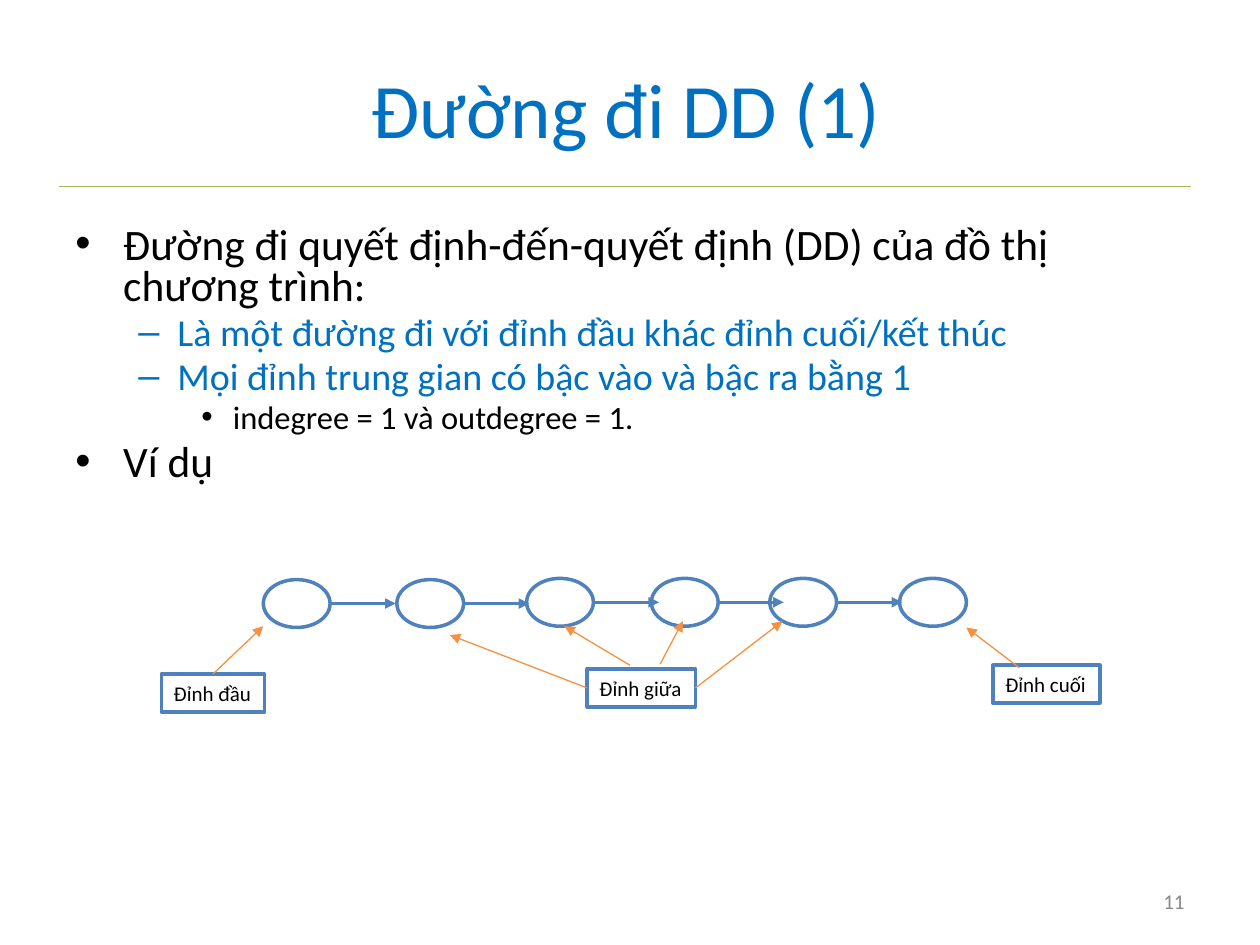
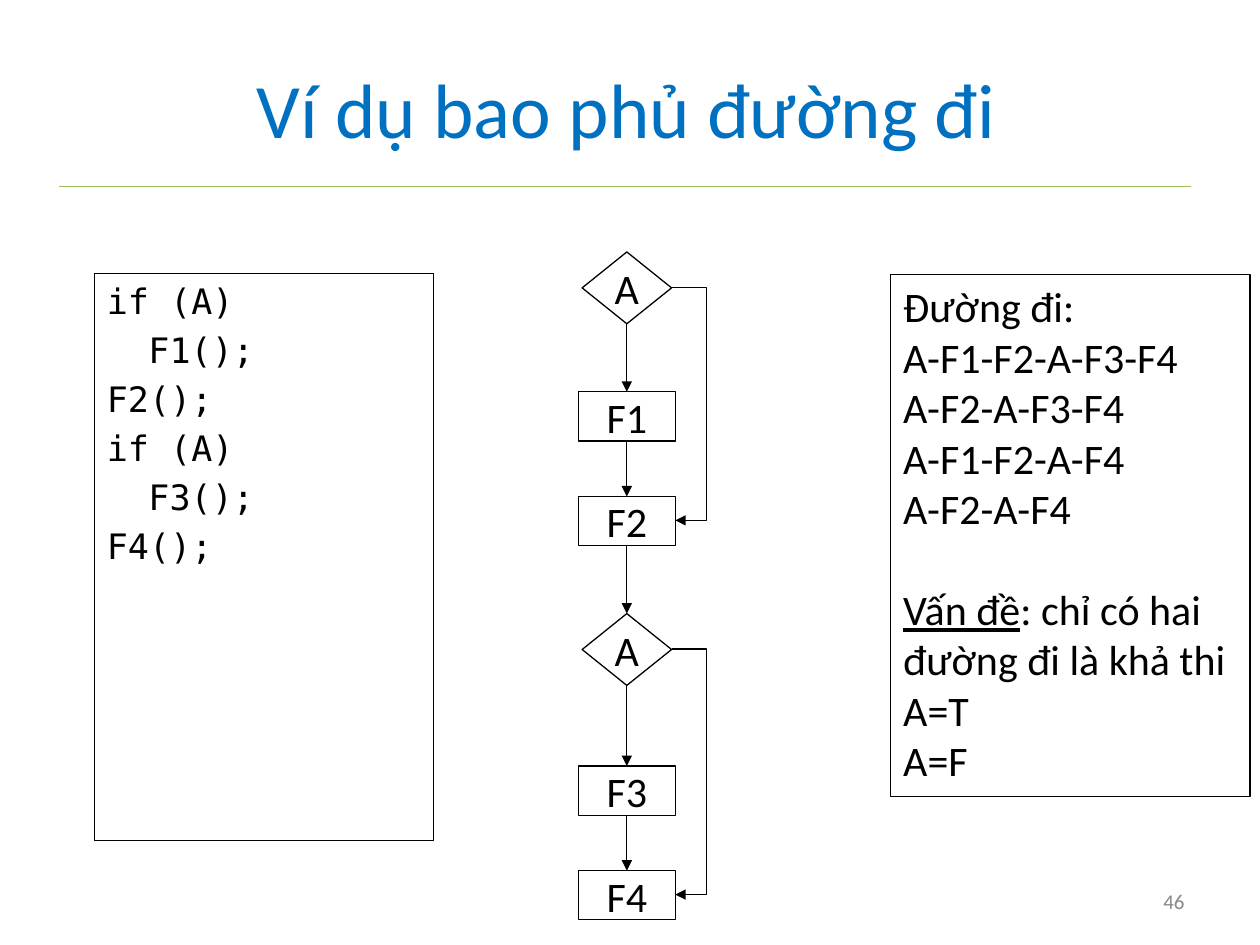
from lxml import etree
from pptx import Presentation
from pptx.dml.color import RGBColor
from pptx.enum.shapes import MSO_CONNECTOR as Connector, MSO_SHAPE as Shape
from pptx.enum.text import MSO_ANCHOR as Anchor, MSO_AUTO_SIZE as AutoSize, PP_ALIGN as Align
from pptx.oxml.ns import qn
from pptx.util import Emu, Pt

PX = 9144  # 100 px to the inch

BLACK = RGBColor(0x00, 0x00, 0x00)
WHITE = RGBColor(0xFF, 0xFF, 0xFF)
GREY = RGBColor(0x88, 0x88, 0x88)
TITLE_BLUE = RGBColor(0x00, 0x70, 0xC0)
NODE_BLUE = RGBColor(0x4F, 0x81, 0xBD)
RULE_GREEN = RGBColor(0x9B, 0xBB, 0x59)
POINTER_ORANGE = RGBColor(0xF5, 0x91, 0x3F)

TEXT_FONT = "Calibri"
CODE_FONT = "DejaVu Sans Mono"

# Outline levels: bullet, left edge, hanging width, size, space before, colour
LEVELS = [
    ("•", 38, 38, 24.8, 5, BLACK),
    ("–", 81, 31, 21.7, 4.3, TITLE_BLUE),
    ("•", 125, 25, 18.6, 3.7, BLACK),
]


def px(*lengths):
    return [Emu(length * PX) for length in lengths]


def style(paragraph, size, color=BLACK, align=Align.LEFT, font=TEXT_FONT):
    paragraph.alignment = align
    paragraph.font.name = font
    paragraph.font.size = Pt(size)
    paragraph.font.color.rgb = color


def set_indent(paragraph, left, first=0):
    properties = paragraph._p.get_or_add_pPr()
    properties.set("marL", str(left * PX))
    properties.set("indent", str(first * PX))
    return properties


def add_paragraphs(frame, lines):
    """Write one paragraph per line and return the paragraphs."""
    frame.text = "\n".join(lines)
    return frame.paragraphs


def add_text_box(slide, left, top, width, height):
    frame = slide.shapes.add_textbox(*px(left, top, width, height)).text_frame
    frame.word_wrap = True
    return frame


def add_outlined(slide, kind, box, line=BLACK, weight=0.75, fill=None):
    shape = slide.shapes.add_shape(kind, *px(*box))
    shape.shadow.inherit = False
    if fill is None:
        shape.fill.background()
    else:
        shape.fill.solid()
        shape.fill.fore_color.rgb = fill
    shape.line.color.rgb = line
    shape.line.width = Pt(weight)
    return shape


def add_line(slide, start, end, color=BLACK, weight=0.75, arrow=True, kind=Connector.STRAIGHT):
    connector = slide.shapes.add_connector(kind, *px(*start, *end))
    connector.line.color.rgb = color
    connector.line.width = Pt(weight)
    if arrow:
        etree.SubElement(connector.line._get_or_add_ln(), qn("a:tailEnd"), type="triangle")
    etree.SubElement(connector._element.spPr, qn("a:effectLst"))
    return connector


def add_elbow(slide, start, end, bend_x):
    """Add a bent arrow whose vertical part runs at bend_x."""
    elbow = add_line(slide, start, end, kind=Connector.ELBOW)
    ratio = (bend_x - start[0]) / (end[0] - start[0])
    guides = elbow._element.spPr.find(qn("a:prstGeom")).get_or_add_avLst()
    etree.SubElement(guides, qn("a:gd"), name="adj1", fmla=f"val {round(ratio * 100000)}")


def add_panel(slide, box, lines, size, font=TEXT_FONT):
    frame = add_outlined(slide, Shape.RECTANGLE, box).text_frame
    frame.word_wrap = True
    frame.vertical_anchor = Anchor.TOP
    paragraphs = add_paragraphs(frame, lines)
    for paragraph in paragraphs:
        style(paragraph, size, font=font)
    return paragraphs


def add_base_slide(presentation, title, number):
    """Add a slide with the shared title, rule and page number."""
    slide = presentation.slides.add_slide(presentation.slide_layouts[5])
    add_line(slide, (47, 148), (945, 148), RULE_GREEN, arrow=False)
    heading = slide.shapes.title
    heading.left, heading.top, heading.width, heading.height = px(47, 23, 900, 125)
    heading.text_frame.text = title
    heading.text_frame.auto_size = AutoSize.NONE
    heading.text_frame.vertical_anchor = Anchor.MIDDLE
    style(heading.text_frame.paragraphs[0], 44, TITLE_BLUE, Align.CENTER)

    footer = add_text_box(slide, 717, 695, 233, 40)
    footer.text = str(number)
    footer.vertical_anchor = Anchor.MIDDLE
    style(footer.paragraphs[0], 12, GREY, Align.RIGHT)
    return slide


def add_outline(slide, box, items):
    frame = add_text_box(slide, *box)
    paragraphs = add_paragraphs(frame, [text for _, text in items])
    for index, (paragraph, (level, _)) in enumerate(zip(paragraphs, items)):
        bullet, left, hanging, size, space, color = LEVELS[level]
        style(paragraph, size, color)
        paragraph.line_spacing = 0.8
        paragraph.space_before = Pt(space if index else 0)
        properties = set_indent(paragraph, left, -hanging)
        etree.SubElement(properties, qn("a:buFont"), typeface="Arial")
        etree.SubElement(properties, qn("a:buChar"), char=bullet)


def add_node_label(slide, box, text):
    label = add_outlined(slide, Shape.RECTANGLE, box, NODE_BLUE, 2, WHITE)
    label.text_frame.text = text
    label.text_frame.word_wrap = False
    style(label.text_frame.paragraphs[0], 12)
    return label


def add_pointer(slide, start, end, label=None, side=0):
    pointer = add_line(slide, start, end, POINTER_ORANGE)
    if label is not None:
        pointer.begin_connect(label, side)


def build_path_slide(presentation):
    slide = add_base_slide(presentation, "Đường đi DD (1)", 11)
    add_outline(slide, (50, 175, 900, 239), [
        (0, "Đường đi quyết định-đến-quyết định (DD) của đồ thị chương trình:"),
        (1, "Là một đường đi với đỉnh đầu khác đỉnh cuối/kết thúc"),
        (1, "Mọi đỉnh trung gian có bậc vào và bậc ra bằng 1"),
        (2, "indegree = 1 và outdegree = 1."),
        (0, "Ví dụ"),
    ])

    # Chain of vertices, each but the last with an outgoing edge
    vertices = [(209, 460), (315, 460), (418, 459), (517, 459), (611, 459), (714, 459)]
    width, height, edge = 53, 38, 52
    for left, top in vertices:
        add_outlined(slide, Shape.OVAL, (left, top, width, height), NODE_BLUE, 2, WHITE)
    for left, top in vertices[:-1]:
        right, middle = left + width, top + height // 2
        add_line(slide, (right, middle), (right + edge, middle), NODE_BLUE, 2)

    # Labels and their pointers
    first = add_node_label(slide, (128, 535, 82, 30), "Đỉnh đầu")
    inner = add_node_label(slide, (466, 531, 86, 30), "Đỉnh giữa")
    add_node_label(slide, (788, 528, 85, 30), "Đỉnh cuối")
    add_pointer(slide, (169, 535), (209, 497), first, 0)
    add_pointer(slide, (466, 546), (357, 504), inner, 1)
    add_pointer(slide, (500, 528), (448, 497))
    add_pointer(slide, (524, 527), (542, 493))
    add_pointer(slide, (552, 546), (621, 493), inner, 3)
    add_pointer(slide, (809, 530), (767, 498))


def add_flow_step(slide, text, top):
    """Add a diamond for the condition A, or a box for a function."""
    if text == "A":
        shape = add_outlined(slide, Shape.DIAMOND, (462, top, 71, 57))
    else:
        shape = add_outlined(slide, Shape.RECTANGLE, (459, top, 77, 39))
    frame = shape.text_frame
    frame.text = text
    frame.word_wrap = False
    frame.margin_left = frame.margin_right = frame.margin_top = frame.margin_bottom = 0
    style(frame.paragraphs[0], 24, align=Align.CENTER)
    return shape


def build_coverage_slide(presentation):
    slide = add_base_slide(presentation, "Ví dụ bao phủ đường đi", 46)

    # Code
    code = ["if (A)", "F1();", "F2();", "if (A)", "F3();", "F4();"]
    lines = add_panel(slide, (75, 217, 269, 450), code, 20, CODE_FONT)
    for index, line in enumerate(lines):
        line.space_before = Pt(4 if index else 0)
        if index and code[index - 1].startswith("if"):
            set_indent(line, 33)

    # Flowchart
    steps = [("A", 200), ("F1", 311), ("F2", 394), ("A", 487), ("F3", 608), ("F4", 691)]
    shapes = [add_flow_step(slide, text, top) for text, top in steps]
    for upper, lower in zip(shapes, shapes[1:]):
        arrow = add_line(slide, (0, 0), (0, 0))
        arrow.begin_connect(upper, 2)
        arrow.end_connect(lower, 0)
    for (_, condition_top), (_, target_top) in (steps[0:3:2], steps[3:6:2]):
        add_elbow(slide, (533, condition_top + 28), (536, target_top + 19), 561)

    # Paths
    paths = add_panel(slide, (707, 218, 285, 414), [
        "Đường đi:", "A-F1-F2-A-F3-F4", "A-F2-A-F3-F4", "A-F1-F2-A-F4", "A-F2-A-F4",
        "Vấn đề", "A=T", "A=F",
    ], 24)
    problem = paths[5]
    problem.space_before = Pt(29)
    problem.runs[0].font.underline = True
    problem.add_run().text = ": chỉ có hai đường đi là khả thi"


def main():
    presentation = Presentation()
    presentation.slide_width, presentation.slide_height = px(1000, 750)
    build_path_slide(presentation)
    build_coverage_slide(presentation)
    presentation.save("out.pptx")


if __name__ == "__main__":
    main()
